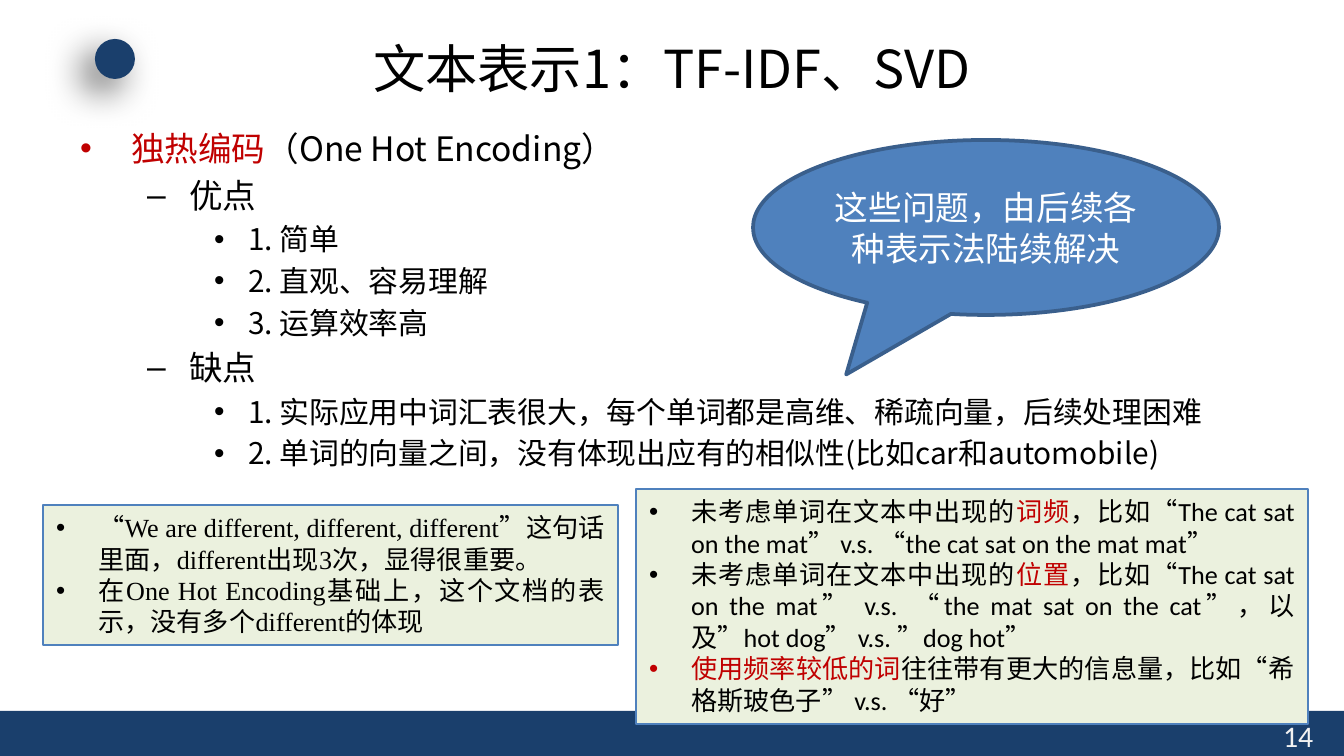
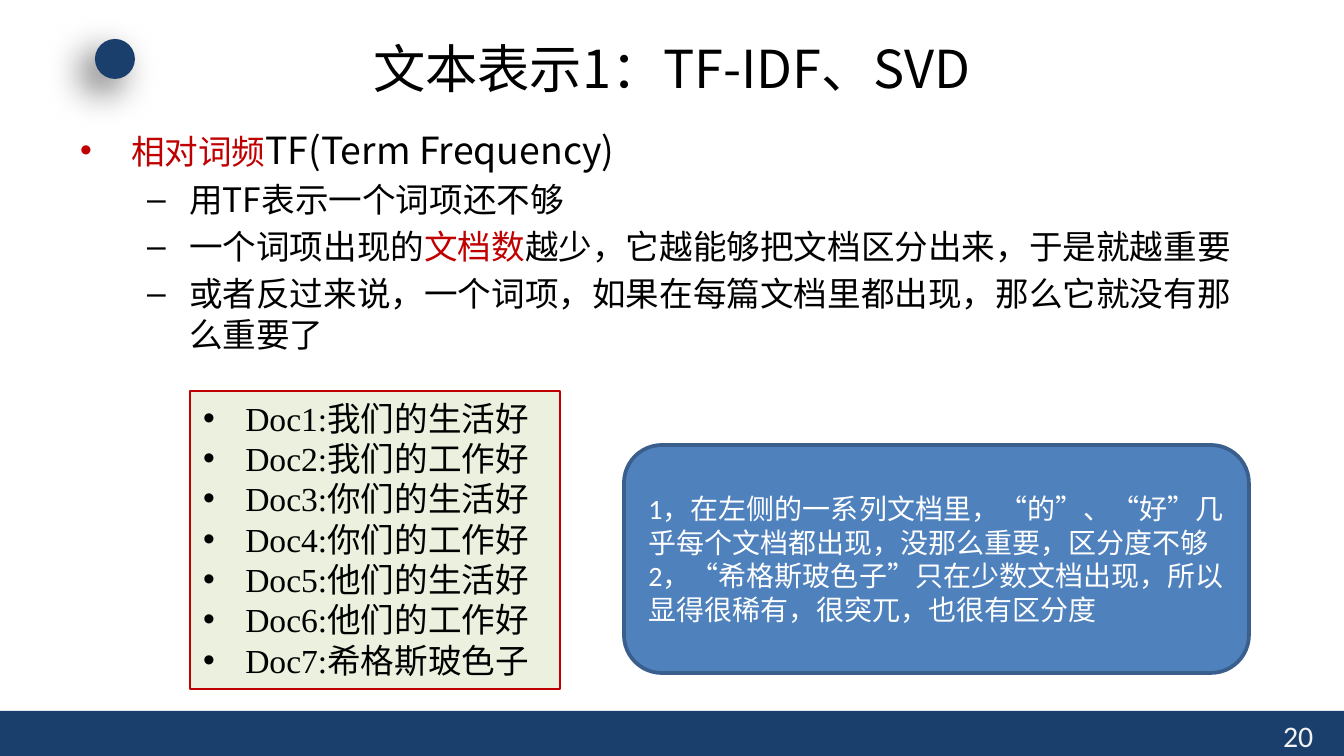
import pptx
import pptx.util
import pptx.dml.color
import pptx.enum.shapes
import pptx.enum.text
import pptx.oxml
import pptx.oxml.ns
import pptx.oxml.xmlchemy

PX = 914400 / 134.4
Pt = pptx.util.Pt
SHAPE = pptx.enum.shapes.MSO_SHAPE
ALIGN = pptx.enum.text.PP_ALIGN
ANCHOR = pptx.enum.text.MSO_ANCHOR
AUTO_SIZE = pptx.enum.text.MSO_AUTO_SIZE
RGB = pptx.dml.color.RGBColor.from_string
qn = pptx.oxml.ns.qn
OxmlElement = pptx.oxml.xmlchemy.OxmlElement

COLORS = {
    "navy": "1A3F6C", "number": "F2F2F2", "black": "000000", "white": "FFFFFF",
    "red": "C00000", "pale": "EBF1DE", "blue": "4F81BD", "edge": "3A5F8C",
}
CJK = "Noto Sans CJK SC"
RED = {"color": "red"}

OUTLINE = {
    "topic": {"char": "•", "level": 0, "margin": 51, "hang": 51, "size": 18, "gap": 0.2},
    "point": {"char": "–", "level": 1, "margin": 109, "hang": 42, "size": 18, "gap": 0.2},
    "detail": {"char": "•", "level": 2, "margin": 168, "hang": 34, "size": 16, "gap": 0.2},
    "note": {"char": "•", "level": 0, "margin": 42, "hang": 42, "gap": 0},
}


def write(frame, paragraphs, *, size=18, font="Calibri", color="black",
          align=ALIGN.LEFT, anchor=ANCHOR.TOP):
    frame.word_wrap = True
    frame.vertical_anchor = anchor
    for index, (kind, *pieces) in enumerate(paragraphs):
        paragraph = frame.add_paragraph() if index else frame.paragraphs[0]
        paragraph.alignment = align
        style = {"size": size, "font": font, "color": color}
        if kind:
            rule = OUTLINE[kind]
            style["size"] = rule.get("size", size)
            paragraph.level = rule["level"]
            properties = paragraph._p.get_or_add_pPr()
            properties.set("marL", str(round(rule["margin"] * PX)))
            properties.set("indent", str(round(-rule["hang"] * PX)))
            if index and rule["gap"]:
                paragraph.space_before = Pt(rule["gap"] * style["size"])
            bullet_font = OxmlElement("a:buFont")
            bullet_font.set("typeface", "Arial")
            bullet = OxmlElement("a:buChar")
            bullet.set("char", rule["char"])
            properties.extend([bullet_font, bullet])
        for piece in pieces:
            text, changes = (piece, {}) if isinstance(piece, str) else piece
            look = {**style, **changes}
            run = paragraph.add_run()
            run.text = text
            run.font.size = Pt(look["size"])
            run.font.name = look["font"]
            run.font.color.rgb = RGB(COLORS[look["color"]])
            east_asian = OxmlElement("a:ea")
            east_asian.set("typeface", CJK)
            run._r.rPr.find(qn("a:latin")).addnext(east_asian)


def add_panel(slide, preset, box, fill, line=None, weight=0.75):
    panel = slide.shapes.add_shape(preset, *(round(v * PX) for v in box))
    panel.shadow.inherit = False
    panel.fill.solid()
    panel.fill.fore_color.rgb = RGB(COLORS[fill])
    if line:
        panel.line.color.rgb = RGB(COLORS[line])
        panel.line.width = Pt(weight)
    else:
        panel.line.fill.background()
    return panel


pages = [
    {
        "number": "14",
        "body": [
            ("topic", ("独热编码", RED), "（One Hot Encoding）"),
            ("point", "优点"),
            ("detail", "1. 简单"),
            ("detail", "2. 直观、容易理解"),
            ("detail", "3. 运算效率高"),
            ("point", "缺点"),
            ("detail", "1. 实际应用中词汇表很大，每个单词都是高维、稀疏向量，后续处理困难"),
            ("detail", "2. 单词的向量之间，没有体现出应有的相似性(比如car和automobile)"),
        ],
        "notes": [
            {
                "box": (43, 505, 575, 140), "line": "blue", "size": 14, "font": "Times New Roman",
                "text": [
                    ("note", "“We are different, different, different”这句话里面，different出现3次，显得很重要。"),
                    ("note", "在One Hot Encoding基础上，这个文档的表示，没有多个different的体现"),
                ],
            },
            {
                "box": (636, 489, 672, 235), "line": "blue", "size": 14, "font": "Calibri",
                "text": [
                    ("note", "未考虑单词在文本中出现的", ("词频", RED),
                     "，比如“The cat sat on the mat” v.s. “the cat sat on the mat mat”"),
                    ("note", "未考虑单词在文本中出现的", ("位置", RED),
                     "，比如“The cat sat on the mat” v.s. “the mat sat on the cat”，以及”hot dog” v.s. ”dog hot”"),
                    ("note", ("使用频率较低的词", RED),
                     "往往带有更大的信息量，比如“希格斯玻色子” v.s. “好”"),
                ],
            },
        ],
        "remark": {
            "preset": SHAPE.OVAL_CALLOUT, "box": (753, 140, 466, 175), "tail": (-0.3, 0.84),
            "size": 18, "align": ALIGN.CENTER,
            "text": [(None, "这些问题，由后续各种表示法陆续解决")],
        },
    },
    {
        "number": "20",
        "body": [
            ("topic", ("相对词频", RED), ("TF(Term Frequency)", {"size": 20})),
            ("point", "用TF表示一个词项还不够"),
            ("point", "一个词项出现的", ("文档数", RED), "越少，它越能够把文档区分出来，于是就越重要"),
            ("point", "或者反过来说，一个词项，如果在每篇文档里都出现，那么它就没有那么重要了"),
        ],
        "notes": [
            {
                "box": (190, 391, 370, 298), "line": "red", "size": 18, "font": "Times New Roman",
                "text": [
                    ("note", "Doc1:我们的生活好"),
                    ("note", "Doc2:我们的工作好"),
                    ("note", "Doc3:你们的生活好"),
                    ("note", "Doc4:你们的工作好"),
                    ("note", "Doc5:他们的生活好"),
                    ("note", "Doc6:他们的工作好"),
                    ("note", "Doc7:", ("希格斯玻色子", {"font": "Calibri"})),
                ],
            },
        ],
        "remark": {
            "preset": SHAPE.ROUNDED_RECTANGLE, "box": (624, 445, 625, 228), "tail": (),
            "size": 15, "align": ALIGN.JUSTIFY,
            "text": [
                (None, "1，在左侧的一系列文档里，“的”、“好”几乎每个文档都出现，没那么重要，区分度不够"),
                (None, "2，“希格斯玻色子”只在少数文档出现，所以显得很稀有，很突兀，也很有区分度"),
            ],
        },
    },
]

deck = pptx.Presentation()
deck.slide_width = round(1344 * PX)
deck.slide_height = round(756 * PX)

for page in pages:
    slide = deck.slides.add_slide(deck.slide_layouts[5])

    add_panel(slide, SHAPE.RECTANGLE, (0, 711, 1344, 45), "navy")
    page_number = slide.shapes.add_textbox(*(round(v * PX) for v in (1270, 711, 67, 40)))
    write(page_number.text_frame, [(None, page["number"])], size=16, color="number")

    dot = add_panel(slide, SHAPE.OVAL, (95, 39, 40, 40), "navy")
    dot_shadow = pptx.oxml.parse_xml(
        '<a:outerShdw xmlns:a="http://schemas.openxmlformats.org/drawingml/2006/main" '
        'blurRad="254000" dist="127000" dir="8100000" algn="ctr" rotWithShape="0">'
        '<a:srgbClr val="%s"><a:alpha val="60000"/></a:srgbClr></a:outerShdw>' % COLORS["black"])
    dot._element.spPr.find(qn("a:effectLst")).append(dot_shadow)

    title = slide.shapes.title
    title.left, title.top, title.width, title.height = (
        round(v * PX) for v in (67, 31, 1210, 74))
    write(title.text_frame, [(None, "文本表示1：TF-IDF、SVD")], size=28, font=CJK,
          align=ALIGN.CENTER, anchor=ANCHOR.MIDDLE)

    body = slide.shapes.add_textbox(*(round(v * PX) for v in (67, 121, 1210, 579)))
    write(body.text_frame, page["body"], font=CJK)

    for note in page["notes"]:
        note_panel = add_panel(slide, SHAPE.RECTANGLE, note["box"], "pale", note["line"])
        write(note_panel.text_frame, note["text"], size=note["size"], font=note["font"],
              align=ALIGN.JUSTIFY)
        note_panel.text_frame.auto_size = AUTO_SIZE.SHAPE_TO_FIT_TEXT

    remark = page["remark"]
    remark_panel = add_panel(slide, remark["preset"], remark["box"], "blue", "edge", 2)
    for index, value in enumerate(remark["tail"]):
        remark_panel.adjustments[index] = value
    write(remark_panel.text_frame, remark["text"], size=remark["size"], color="white",
          align=remark["align"], anchor=ANCHOR.MIDDLE)

deck.save("out.pptx")
